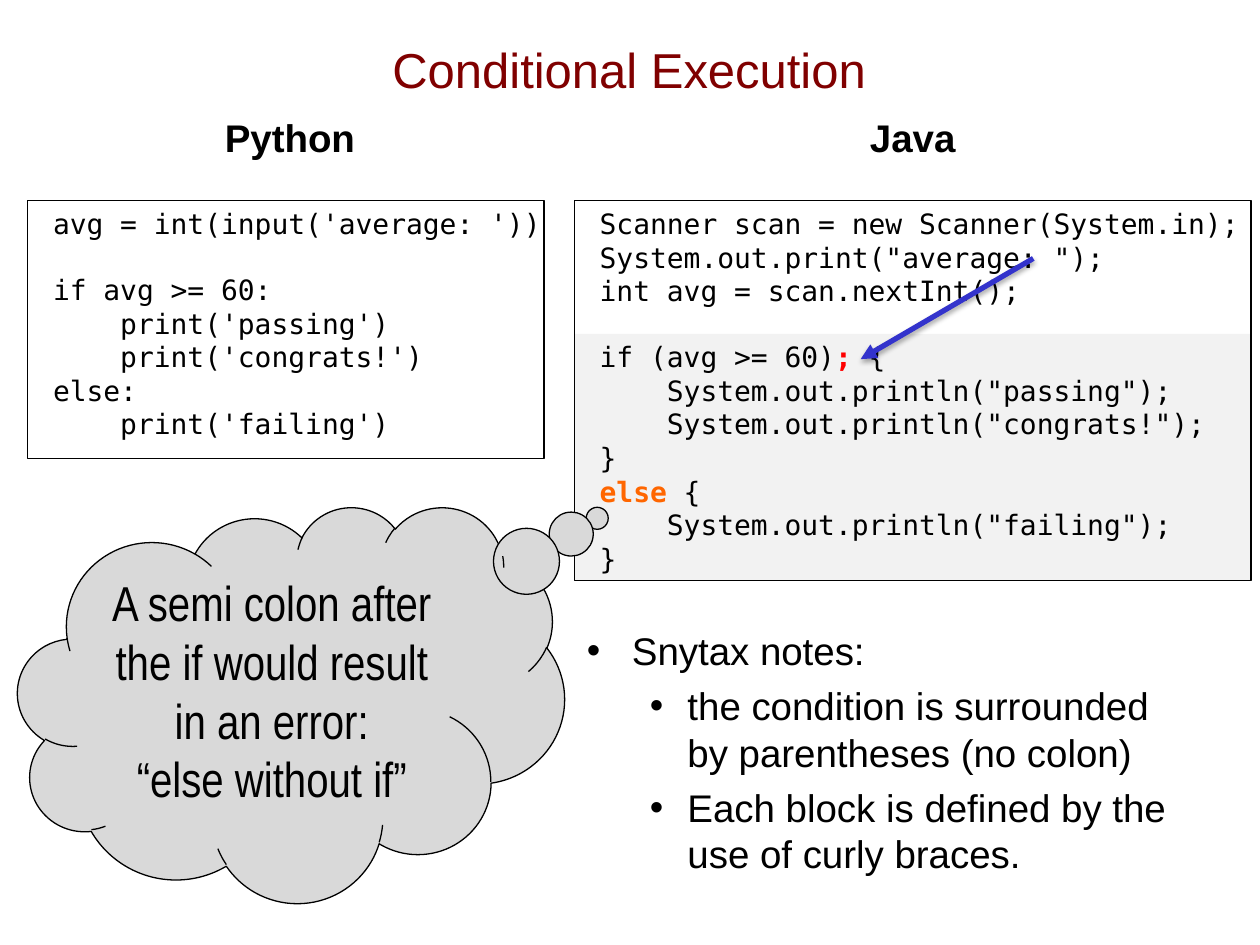
from lxml.etree import SubElement
from pptx import Presentation
from pptx.dml.color import RGBColor
from pptx.enum.shapes import MSO_CONNECTOR as Link, MSO_SHAPE as Kind
from pptx.enum.text import MSO_ANCHOR as Anchor, PP_ALIGN as Align
from pptx.oxml import parse_xml
from pptx.oxml.ns import nsdecls, qn
from pptx.util import Cm, Pt

BLACK = RGBColor(0x00, 0x00, 0x00)
MAROON = RGBColor(0x80, 0x00, 0x00)
RED = RGBColor(0xFF, 0x00, 0x00)
ORANGE = RGBColor(0xFF, 0x66, 0x00)
BLUE = RGBColor(0x33, 0x33, 0xCC)
PALE = RGBColor(0xF2, 0xF2, 0xF2)
GREY = RGBColor(0xD9, 0xD9, 0xD9)
SANS, NARROW, MONO = "Arial", "Arial Narrow", "DejaVu Sans Mono"

# Content: a code line is a string or a list of (text, accent); None is a gap
TITLE = "Conditional Execution"
PYTHON = [
    "avg = int(input('average: '))",
    None,
    "if avg >= 60:",
    "    print('passing')",
    "    print('congrats!')",
    "else:",
    "    print('failing')",
]
JAVA = [
    "Scanner scan = new Scanner(System.in);",
    'System.out.print("average: ");',
    "int avg = scan.nextInt();",
    None,
    [("if (avg >= 60)", None), (";", RED), (" {", None)],
    '    System.out.println("passing");',
    '    System.out.println("congrats!");',
    "}",
    [("else", ORANGE), (" {", None)],
    '    System.out.println("failing");',
    "}",
]
NOTES = [
    (0, ["Snytax notes:"]),
    (1, ["the condition is surrounded", "by parentheses (no colon)"]),
    (1, ["Each block is defined by the use of curly braces."]),
]
CLOUD = ["A semi colon after the if would result in an error:",
         "“else without if”"]

# Layout in centimetres
HEAD_TOP, CODE_TOP = 2.18, 4.04
LEFT, RIGHT, WIDE = 0.56, 11.58, 13.64
JAVA_HIGH, BAND_TOP = 7.67, 6.73
CODE_GAP = Pt(18.6)                  # one line of 16 pt code
LEVELS = [(0.91, 14), (2.03, 5.2)]   # text indent, space before
HANG = [0.91, 0.76]

deck = Presentation()
deck.slide_width, deck.slide_height = Cm(25.4), Cm(19.05)
slide = deck.slides.add_slide(deck.slide_layouts[5])
shapes = slide.shapes


def write(para, text, size, font, color=BLACK, bold=False):
    run = para.add_run()
    run.text = text
    run.font.size, run.font.name, run.font.bold = Pt(size), font, bold
    run.font.color.rgb = color


def paras(frame, count):
    return [frame.paragraphs[0]] + [frame.add_paragraph()
                                    for _ in range(count - 1)]


def block(kind, box, fill=None, line=None):
    shape = shapes.add_shape(kind, *map(Cm, box))
    shape.shadow.inherit = False
    if fill is None:
        shape.fill.background()
    else:
        shape.fill.solid()
        shape.fill.fore_color.rgb = fill
    if line is None:
        shape.line.fill.background()
    else:
        shape.line.color.rgb = line
        shape.line.width = Pt(0.75)
    shape.text_frame.vertical_anchor = Anchor.TOP
    return shape


def label(box):
    frame = shapes.add_textbox(*map(Cm, box)).text_frame
    frame.word_wrap = True
    return frame


def code(box, lines):
    frame = block(Kind.RECTANGLE, box, line=BLACK).text_frame
    frame.word_wrap = False
    frame.margin_left = Cm(0.51)
    shown = [(line, i > 0 and lines[i - 1] is None)
             for i, line in enumerate(lines) if line is not None]
    for para, (line, gap) in zip(paras(frame, len(shown)), shown):
        para.alignment = Align.LEFT
        if gap:
            para.space_before = CODE_GAP
        for text, hue in [(line, None)] if isinstance(line, str) else line:
            write(para, text, 16, MONO, hue or BLACK, hue is not None)


# Title
title = shapes.title
title.left, title.top, title.width, title.height = map(
    Cm, (1.9, 0.2, 21.56, 2.36))
title.text_frame.vertical_anchor = Anchor.MIDDLE
para = title.text_frame.paragraphs[0]
para.alignment = Align.CENTER
write(para, TITLE, 28, SANS, MAROON)

# Band behind the Java branch
block(Kind.RECTANGLE,
      (RIGHT, BAND_TOP, WIDE, CODE_TOP + JAVA_HIGH - BAND_TOP), PALE)

# Column heads
for text, left, width in [("Python", 0.36, 10.97), ("Java", RIGHT, WIDE)]:
    para = label((left, HEAD_TOP, width, 1.2)).paragraphs[0]
    para.alignment = Align.CENTER
    write(para, text, 22, SANS, bold=True)

# Code boxes
code((LEFT, CODE_TOP, 10.41, 5.21), PYTHON)
code((RIGHT, CODE_TOP, WIDE, JAVA_HIGH), JAVA)

# Bulleted notes
frame = label((RIGHT, 12.52, 13.45, 5.9))
for para, (level, lines) in zip(paras(frame, len(NOTES)), NOTES):
    indent, before = LEVELS[level]
    para.level = level
    para.space_before = Pt(before)
    props = para._p.get_or_add_pPr()
    props.set("marL", str(Cm(indent)))
    props.set("indent", str(-Cm(HANG[level])))
    SubElement(props, qn("a:buFont")).set("typeface", SANS)
    SubElement(props, qn("a:buChar")).set("char", "•")
    for i, text in enumerate(lines):
        if i:
            para.add_line_break()
        write(para, text, 22, SANS)

# Thought cloud
cloud = block(Kind.CLOUD_CALLOUT, (0.36, 10.21, 11.02, 7.98), GREY, BLACK)
cloud.adjustments[0], cloud.adjustments[1] = 0.56, -0.47
cloud.text_frame.word_wrap = True
for para, text in zip(paras(cloud.text_frame, len(CLOUD)), CLOUD):
    para.alignment = Align.CENTER
    write(para, text, 28, NARROW)

# Arrow to the stray semicolon, with a soft shadow
arrow = shapes.add_connector(
    Link.STRAIGHT, *map(Cm, (20.83, 5.21, 17.35, 7.24)))
arrow.line.color.rgb = BLUE
arrow.line.width = Pt(3)
SubElement(arrow.line._get_or_add_ln(), qn("a:tailEnd")).set(
    "type", "triangle")
arrow._element.spPr.append(parse_xml(
    f'<a:effectLst {nsdecls("a")}>'
    f'<a:outerShdw blurRad="{Pt(3.1)}" dist="{Pt(1.8)}" dir="5400000">'
    '<a:srgbClr val="000000"><a:alpha val="35000"/></a:srgbClr>'
    '</a:outerShdw></a:effectLst>'))

deck.save("out.pptx")
